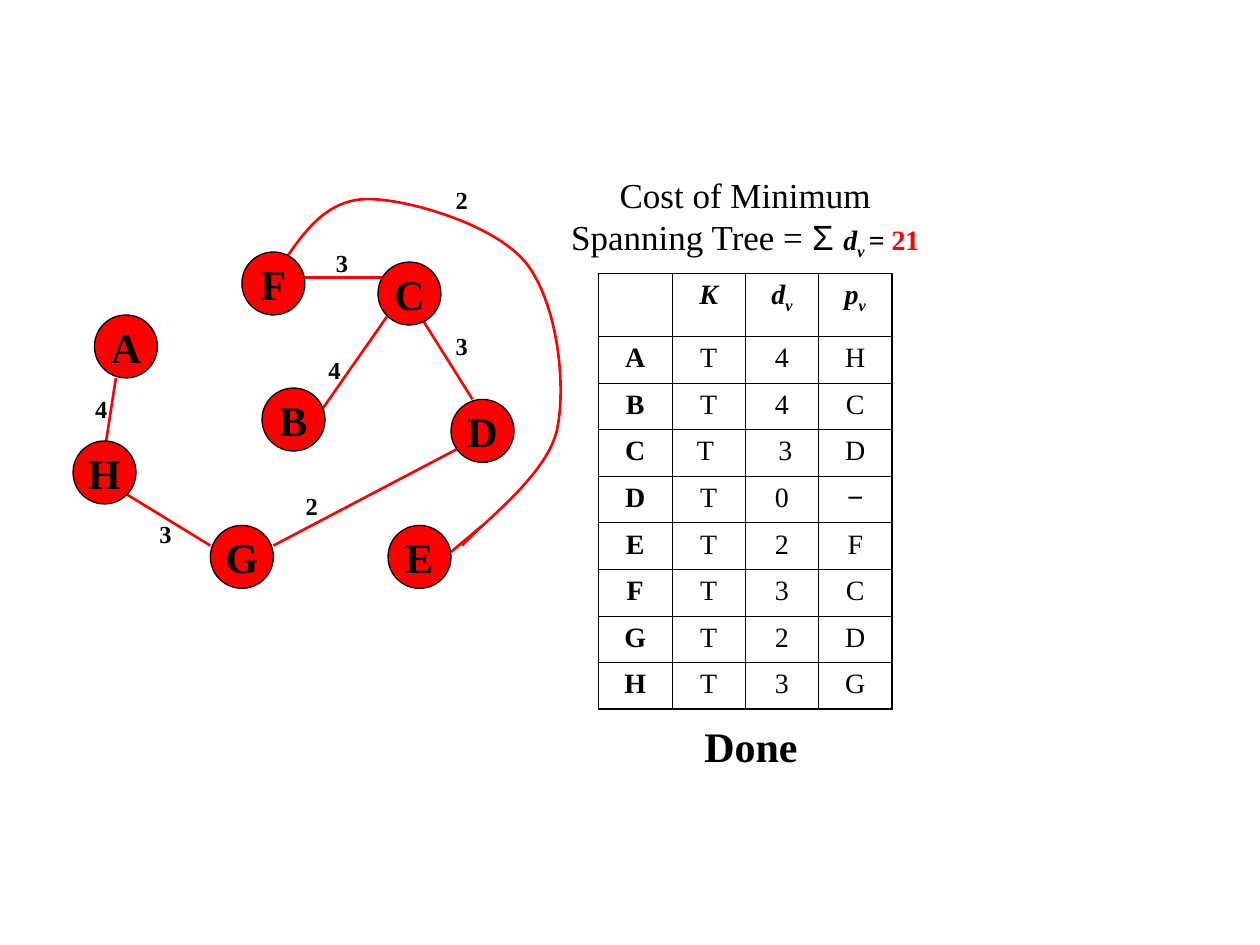
from dataclasses import dataclass

from lxml import etree
from pptx import Presentation
from pptx.dml.color import RGBColor
from pptx.enum.shapes import MSO_CONNECTOR, MSO_SHAPE
from pptx.enum.text import MSO_ANCHOR, MSO_AUTO_SIZE, PP_ALIGN
from pptx.oxml.ns import qn
from pptx.util import Inches, Pt

LINE, OVAL = MSO_CONNECTOR.STRAIGHT, MSO_SHAPE.OVAL
MIDDLE, CENTER = MSO_ANCHOR.MIDDLE, PP_ALIGN.CENTER
GROW = MSO_AUTO_SIZE.SHAPE_TO_FIT_TEXT


@dataclass(frozen=True)
class Theme:
    red: RGBColor = RGBColor(255, 0, 0)
    black: RGBColor = RGBColor(0, 0, 0)
    serif: str = "Times New Roman"
    sans: str = "Arial"
    node: int = 24
    head: int = 20
    cell: int = 16
    label: int = 14
    edge: float = 1.5
    frame: float = 1.08
    grid: float = 0.45


theme = Theme()


def write(frame, *runs, size, before, **base):
    """Fill a text frame with one centred paragraph; a run is text or (text, format)."""
    para = frame.paragraphs[0]
    para.alignment = CENTER
    para.space_before = Pt(before)
    for part in runs:
        text, own = (part, {}) if isinstance(part, str) else part
        look = {"size": size, **base, **own}
        run = para.add_run()
        run.text = text
        run.font.size = Pt(look["size"])
        run.font.name = look.get("face", theme.serif)
        run.font.bold = look.get("bold", False)
        run.font.italic = look.get("italic", False)
        run.font.color.rgb = look.get("color", theme.black)
        if look.get("sub"):
            run.font._element.set("baseline", "-25000")


def add_text(x, y, w, h, *runs, **look):
    frame = slide.shapes.add_textbox(*map(Inches, (x, y, w, h))).text_frame
    frame.word_wrap = True
    frame.auto_size = GROW
    write(frame, *runs, **look)


deck = Presentation()
deck.slide_width, deck.slide_height = Inches(10), Inches(7.5)
slide = deck.slides.add_slide(deck.slide_layouts[6])

# Curved edge F-E, sampled from cubic Bezier pieces
start = (2.25, 2.08)
curves = [
    ((2.42, 1.83), (2.6, 1.58), (2.92, 1.58)),
    ((3.24, 1.58), (3.92, 1.78), (4.17, 2.08)),
    ((4.42, 2.39), (4.5, 3.04), (4.42, 3.42)),
    ((4.33, 3.79), (3.79, 4.18), (3.67, 4.33)),
]
steps = 20
points, last = [], start
for one, two, end in curves:
    for step in range(1, steps + 1):
        t = step / steps
        u = 1 - t
        points.append(tuple(
            Inches(u**3 * a + 3 * u * u * t * b + 3 * u * t * t * c + t**3 * d)
            for a, b, c, d in zip(last, one, two, end)))
    last = end
pen = slide.shapes.build_freeform(*map(Inches, start))
pen.add_line_segments(points, close=False)
curve = pen.convert_to_shape()
curve.shadow.inherit = False
curve.fill.background()
curve.line.color.rgb = theme.red
curve.line.width = Pt(theme.edge)

# Straight edges
edges = [
    (2.5, 3.33, 3.08, 2.5),
    (2.17, 4.33, 3.75, 3.5),
    (0.83, 3.58, 0.92, 3),
    (2.38, 2.2, 3.17, 2.2),
    (3.33, 2.5, 3.75, 3.17),
    (1.67, 4.33, 1, 3.92),
    (3.83, 4.17, 3.58, 4.38),
]
for ends in edges:
    edge = slide.shapes.add_connector(LINE, *map(Inches, ends))
    edge.line.color.rgb = theme.red
    edge.line.width = Pt(theme.edge)
    etree.SubElement(edge._element.spPr, qn("a:effectLst"))

# Nodes
nodes = {
    "A": (0.75, 2.5), "H": (0.58, 3.5), "B": (2.08, 3.08), "F": (1.92, 2),
    "E": (3.08, 4.17), "D": (3.58, 3.17), "C": (3, 2.08), "G": (1.67, 4.17),
}
for name, (x, y) in nodes.items():
    node = slide.shapes.add_shape(OVAL, *map(Inches, (x, y, 0.5, 0.5)))
    node.shadow.inherit = False
    node.fill.solid()
    node.fill.fore_color.rgb = theme.red
    node.line.color.rgb = theme.black
    node.line.width = Pt(0.75)
    node.text_frame.word_wrap = False
    node.text_frame.vertical_anchor = MIDDLE
    write(node.text_frame, name, size=theme.node, before=6, bold=True)

# Edge weights
weights = [
    ("4", 0.64, 3.08), ("2", 2.31, 3.85), ("3", 3.5, 2.58), ("4", 2.49, 2.77),
    ("3", 2.55, 1.92), ("3", 1.15, 4.07), ("2", 3.5, 1.42),
]
for weight, x, y in weights:
    add_text(x, y, 0.33, 0.34, weight, size=theme.label, before=8.8, bold=True)

# Cost and closing word
strong = {"size": theme.cell, "bold": True, "italic": True}
low = {"sub": True}
add_text(4.33, 1.33, 3.17, 0.8,
         "Cost of Minimum Spanning Tree = ",
         ("Σ ", {"face": theme.sans}),
         ("d", strong), ("v ", strong | low), ("= ", strong),
         ("21", strong | {"italic": False, "color": theme.red}),
         size=theme.head, before=10)
add_text(4.96, 5.67, 2, 0.5, "Done", size=theme.node, before=15, bold=True)

# Table of K, d and p for each node
rows = [
    [[], ["K"], ["d", ("v", low)], ["p", ("v", low)]],
    *([[text] for text in row] for row in [
        ("A", "T", "4", "H"),
        ("B", "T", "4", "C"),
        ("C", "T ", " 3", "D"),
        ("D", "T", "0"),
        ("E", "T", "2", "F"),
        ("F", "T", "3", "C"),
        ("G", "T", "2", "D"),
        ("H", "T", "3", "G"),
    ]),
]
rows[4].append([("−", {"face": theme.sans})])
high, wide = len(rows), len(rows[0])
table = slide.shapes.add_table(
    high, wide, *map(Inches, (4.75, 2.17, 2.33, 3.46))).table
table.first_row = table.horz_banding = False
for r, row in enumerate(rows):
    table.rows[r].height = Inches(0.37 if r else 0.5)
    for c, runs in enumerate(row):
        cell = table.cell(r, c)
        write(cell.text_frame, *runs, size=theme.cell, before=4,
              bold=r == 0 or c == 0, italic=r == 0)
        props = cell._tc.get_or_add_tcPr()
        outer = {"L": c == 0, "R": c == wide - 1, "T": r == 0, "B": r == high - 1}
        for side, rim in outer.items():
            rule = etree.SubElement(
                props, qn(f"a:ln{side}"), w=str(Pt(theme.frame if rim else theme.grid)))
            paint = etree.SubElement(rule, qn("a:solidFill"))
            etree.SubElement(paint, qn("a:srgbClr"), val=str(theme.black))
        cell.fill.background()

deck.save("out.pptx")
